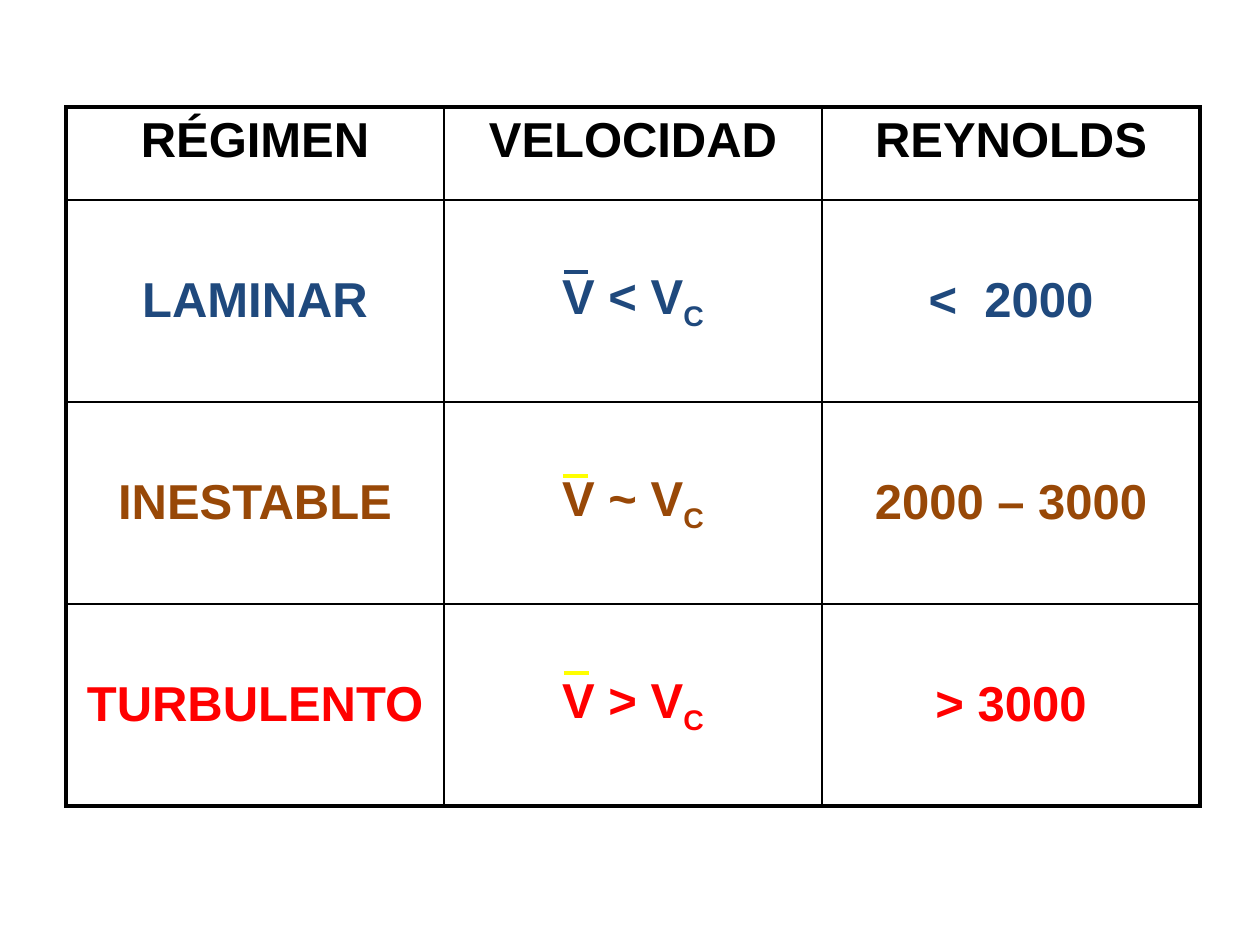
from dataclasses import dataclass

from lxml import etree
from pptx import Presentation
from pptx.dml.color import RGBColor
from pptx.enum.shapes import MSO_CONNECTOR
from pptx.enum.text import MSO_ANCHOR, PP_ALIGN
from pptx.oxml.ns import qn
from pptx.util import Emu, Pt

PX = 914400 / 126
LINE = MSO_CONNECTOR.STRAIGHT
CENTER = PP_ALIGN.CENTER
TOP, MIDDLE = MSO_ANCHOR.TOP, MSO_ANCHOR.MIDDLE


@dataclass(frozen=True)
class Theme:
    font: str = "Arial"
    size: int = 28
    black: str = "000000"
    blue: str = "1F497D"
    brown: str = "984807"
    red: str = "FF0000"
    yellow: str = "FFFF00"
    thin: float = 1
    thick: float = 2.25


@dataclass(frozen=True)
class Regime:
    name: str
    sign: str
    range: str
    color: str


@dataclass(frozen=True)
class Bar:
    left: int
    right: int
    y: int
    color: str


THEME = Theme()
HEADS = ("RÉGIMEN", "VELOCIDAD", "REYNOLDS")
REGIMES = (
    Regime("LAMINAR", "<", "<  2000", THEME.blue),
    Regime("INESTABLE", "~", "2000 – 3000", THEME.brown),
    Regime("TURBULENTO", ">", "> 3000", THEME.red),
)
BARS = (
    Bar(564, 588, 272, THEME.blue),
    Bar(563, 588, 476, THEME.yellow),
    Bar(564, 589, 673, THEME.yellow),
)
LEFT, TABLE_TOP, COL, HEAD_ROW, BODY_ROW = 66, 107, 378, 93, 202


def px(n: int) -> Emu:
    return Emu(round(n * PX))


def add_run(par, text: str, color: str, sub: bool = False) -> None:
    run = par.add_run()
    run.text = text
    looks = {"name": THEME.font, "size": Pt(THEME.size), "bold": True}
    for key, value in looks.items():
        setattr(run.font, key, value)
    run.font.color.rgb = RGBColor.from_string(color)
    if sub:
        run._r.get_or_add_rPr().set("baseline", "-25000")


def set_edges(cell, outer: dict[str, bool]) -> None:
    """Draw the four cell borders, thick where the side is on the frame."""
    props = cell._tc.get_or_add_tcPr()
    for side, edge in outer.items():
        width = THEME.thick if edge else THEME.thin
        line = etree.SubElement(props, qn(f"a:{side}"), w=str(Pt(width)))
        fill = etree.SubElement(line, qn("a:solidFill"))
        etree.SubElement(fill, qn("a:srgbClr"), val=THEME.black)


def fill_cell(cell, parts: tuple[str, ...], color: str, head: bool) -> None:
    """Write the first part as plain text and any other as subscript."""
    cell.fill.background()
    cell.vertical_anchor = TOP if head else MIDDLE
    if not head:
        for side in ("left", "top", "right", "bottom"):
            setattr(cell, f"margin_{side}", 0)
    par = cell.text_frame.paragraphs[0]
    par.alignment = CENTER
    for i, part in enumerate(parts):
        add_run(par, part, color, sub=i > 0)


def add_grid(slide) -> None:
    rows = [(THEME.black, [(head,) for head in HEADS])]
    for reg in REGIMES:
        speed = (f"V {reg.sign} V", "C")
        rows.append((reg.color, [(reg.name,), speed, (reg.range,)]))
    last_row, last_col = len(rows) - 1, len(HEADS) - 1
    high = HEAD_ROW + last_row * BODY_ROW
    table = slide.shapes.add_table(
        len(rows), len(HEADS), px(LEFT), px(TABLE_TOP),
        px(COL * len(HEADS)), px(high)).table
    table.first_row = table.horz_banding = False
    for col in table.columns:
        col.width = px(COL)
    for r, (color, texts) in enumerate(rows):
        table.rows[r].height = px(BODY_ROW if r else HEAD_ROW)
        for c, parts in enumerate(texts):
            cell = table.cell(r, c)
            set_edges(cell, {"lnL": c == 0, "lnR": c == last_col,
                             "lnT": r == 0, "lnB": r == last_row})
            fill_cell(cell, parts, color, head=r == 0)


def add_bar(slide, bar: Bar) -> None:
    """Draw the mean-value bar over a V."""
    line = slide.shapes.add_connector(
        LINE, px(bar.left), px(bar.y), px(bar.right), px(bar.y))
    line.line.color.rgb = RGBColor.from_string(bar.color)
    line.line.width = Pt(THEME.thick)
    etree.SubElement(line._element.spPr, qn("a:effectLst"))


def main() -> None:
    deck = Presentation()
    deck.slide_width, deck.slide_height = px(1260), px(945)
    slide = deck.slides.add_slide(deck.slide_layouts[6])
    add_grid(slide)
    for bar in BARS:
        add_bar(slide, bar)
    deck.save("out.pptx")


if __name__ == "__main__":
    main()
